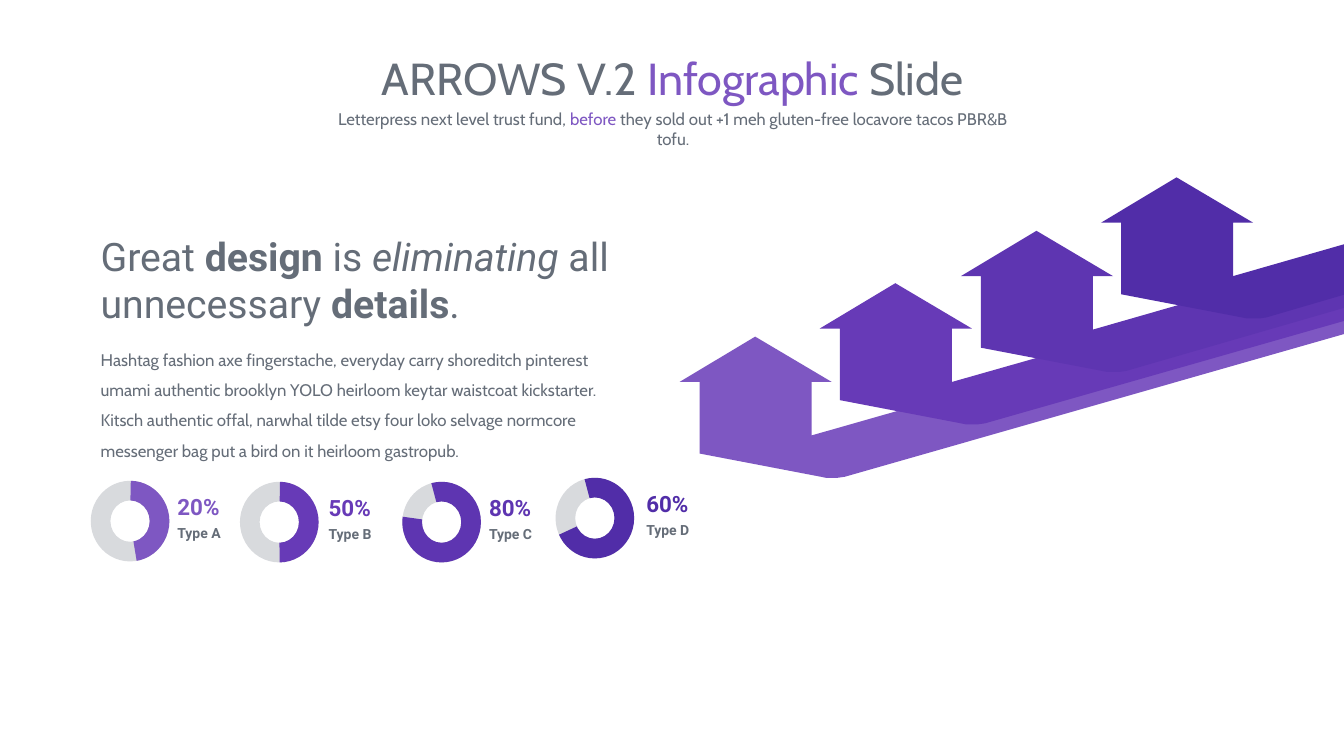
"""Builds the purple arrows infographic slide with four share gauges."""
from dataclasses import dataclass

from pptx import Presentation
from pptx.dml.color import RGBColor
from pptx.enum.shapes import MSO_SHAPE
from pptx.enum.text import MSO_ANCHOR, MSO_AUTO_SIZE, PP_ALIGN
from pptx.shapes.autoshape import Shape
from pptx.shapes.group import GroupShape
from pptx.shapes.shapetree import GroupShapes
from pptx.slide import Slide
from pptx.text.text import TextFrame
from pptx.util import Inches, Pt


@dataclass(frozen=True)
class Theme:
    body_font: str = "Cabin"
    display_font: str = "Roboto"
    slate: str = "656D78"
    track: str = "D8DADD"
    lilac: str = "7E57C2"
    violet: str = "673AB7"
    purple: str = "5E35B1"
    indigo: str = "512DA8"
    title_size: float = 32
    quote_size: float = 28
    share_size: float = 16
    body_size: float = 12
    label_size: float = 10


@dataclass(frozen=True)
class Span:
    text: str
    color: str
    bold: bool = False
    italic: bool = False


@dataclass(frozen=True)
class Arrow:
    apex_x: float
    apex_y: float
    color: str


@dataclass(frozen=True)
class Gauge:
    label: str
    share: str
    color: str
    left: float
    top: float
    label_left: float
    start_angle: float
    end_angle: float


THEME = Theme()
ARROWS = [
    Arrow(7.49, 3.34, THEME.lilac),
    Arrow(8.88, 2.81, THEME.violet),
    Arrow(10.28, 2.29, THEME.purple),
    Arrow(11.67, 1.76, THEME.indigo),
]
GAUGES = [
    Gauge("Type A", "20%", THEME.lilac, 0.9, 4.77, 1.76, 271.06, 80.55),
    Gauge("Type B", "50%", THEME.violet, 2.38, 4.78, 3.26, 271.06, 89.44),
    Gauge("Type C", "80%", THEME.purple, 3.99, 4.78, 4.85, 255.23, 187.88),
    Gauge("Type D", "60%", THEME.indigo, 5.51, 4.74, 6.41, 255.23, 155.07),
]
HEAD_RIGHT = [(0.56, 0.98), (0.56, 0.45), (0.76, 0.45)]
HEAD_LEFT = [(0, 0), (-0.75, 0.45), (-0.55, 0.45), (-0.55, 1.16)]
BEND = [(0.65, 1.39), (0.7, 1.4), (0.75, 1.4), (0.82, 1.4), (0.89, 1.39)]
TAIL_X, TAIL_TOP, TAIL_STEP, TAIL_HEIGHT = 13.38, 2.8, 0.13, 0.5
ANGLE_UNIT = 0.6
RING_WIDTH, RING_HEIGHT, RING_THICKNESS = 0.78, 0.8, 0.25


def write_spans(frame: TextFrame, spans: list[Span], font: str, size: float) -> None:
    """Fill the first paragraph with formatted spans."""
    frame.word_wrap = True
    frame.vertical_anchor = MSO_ANCHOR.TOP
    for span in spans:
        run = frame.paragraphs[0].add_run()
        run.text = span.text
        run.font.name = font
        run.font.size = Pt(size)
        run.font.bold = span.bold
        run.font.italic = span.italic
        run.font.color.rgb = RGBColor.from_string(span.color)


def add_text(shapes: GroupShapes, box: tuple[float, float, float, float],
             spans: list[Span], font: str, size: float) -> TextFrame:
    """Add a wrapping text box and return its frame."""
    frame = shapes.add_textbox(*map(Inches, box)).text_frame
    write_spans(frame, spans, font, size)
    return frame


def paint(shape: Shape, color: str) -> None:
    """Give a shape a flat fill without line or shadow."""
    shape.shadow.inherit = False
    shape.fill.solid()
    shape.fill.fore_color.rgb = RGBColor.from_string(color)
    shape.line.fill.background()


def add_arrow(group: GroupShape, arrow: Arrow, index: int) -> None:
    """Draw one bent arrow whose tail runs to the right edge."""
    def place(points: list[tuple[float, float]]) -> list[tuple[int, int]]:
        return [(Inches(arrow.apex_x + x), Inches(arrow.apex_y + y)) for x, y in points]

    tail_top = TAIL_TOP - index * TAIL_STEP
    tail = [(Inches(TAIL_X), Inches(y)) for y in (tail_top + TAIL_HEIGHT, tail_top)]
    outline = place(HEAD_LEFT + BEND) + tail + place(HEAD_RIGHT)
    builder = group.shapes.build_freeform(*outline[0])
    builder.add_line_segments(outline[1:], close=True)
    paint(builder.convert_to_shape(), arrow.color)


def add_gauge(slide: Slide, gauge: Gauge) -> None:
    """Draw a ring with its coloured arc, share and label."""
    shapes = slide.shapes.add_group_shape().shapes
    box = tuple(map(Inches, (gauge.left, gauge.top, RING_WIDTH, RING_HEIGHT)))
    ring = shapes.add_shape(MSO_SHAPE.DONUT, *box)
    ring.adjustments[0] = RING_THICKNESS
    paint(ring, THEME.track)
    arc = shapes.add_shape(MSO_SHAPE.BLOCK_ARC, *box)
    arc.adjustments[0] = gauge.start_angle * ANGLE_UNIT
    arc.adjustments[1] = gauge.end_angle * ANGLE_UNIT
    arc.adjustments[2] = RING_THICKNESS
    paint(arc, gauge.color)
    captions = [
        (gauge.share, gauge.color, THEME.share_size, 0.15, 0.29),
        (gauge.label, THEME.slate, THEME.label_size, 0.45, 0.23),
    ]
    for text, color, size, offset, height in captions:
        frame = add_text(shapes, (gauge.label_left, gauge.top + offset, 0.49, height),
                         [Span(text, color, bold=True)], THEME.display_font, size)
        frame.margin_left = frame.margin_right = frame.margin_top = frame.margin_bottom = 0
        frame.paragraphs[0].line_spacing = 0.9


def add_heading(slide: Slide) -> None:
    """Place the title and the subtitle."""
    title = slide.shapes.title
    title.left, title.top, title.width, title.height = map(Inches, (2.54, 0.45, 8.26, 0.64))
    write_spans(title.text_frame, [
        Span("ARROWS V.2 ", THEME.slate),
        Span("Infographic ", THEME.lilac),
        Span("Slide", THEME.slate),
    ], THEME.body_font, THEME.title_size)
    subtitle = add_text(slide.shapes, (3.2, 1.03, 6.95, 0.3), [
        Span("Letterpress next level trust fund, ", THEME.slate),
        Span("before", THEME.lilac),
        Span(" they sold out +1 meh gluten-free locavore tacos PBR&B tofu.", THEME.slate),
    ], THEME.body_font, THEME.body_size)
    for frame in (title.text_frame, subtitle):
        frame.auto_size = MSO_AUTO_SIZE.SHAPE_TO_FIT_TEXT
        frame.paragraphs[0].alignment = PP_ALIGN.CENTER


def add_message(slide: Slide) -> None:
    """Place the quote and the paragraph below it."""
    add_text(slide.shapes, (0.9, 2.26, 5.46, 1.04), [
        Span("Great ", THEME.slate),
        Span("design", THEME.slate, bold=True),
        Span(" is ", THEME.slate),
        Span("eliminating", THEME.slate, italic=True),
        Span(" all unnecessary ", THEME.slate),
        Span("details", THEME.slate, bold=True),
        Span(".", THEME.slate),
    ], THEME.display_font, THEME.quote_size)
    story = add_text(slide.shapes, (0.9, 3.32, 5.32, 1.31), [Span(
        "Hashtag fashion axe fingerstache, everyday carry shoreditch pinterest umami "
        "authentic brooklyn YOLO heirloom keytar waistcoat kickstarter. Kitsch authentic "
        "offal, narwhal tilde etsy four loko selvage normcore messenger bag put a bird on "
        "it heirloom gastropub.", THEME.slate)], THEME.body_font, THEME.body_size)
    story.paragraphs[0].line_spacing = 1.5


def main() -> None:
    """Build and save the slide."""
    deck = Presentation()
    deck.slide_width, deck.slide_height = Inches(13.33), Inches(7.5)
    slide = deck.slides.add_slide(deck.slide_layouts[5])
    add_heading(slide)
    arrow_group = slide.shapes.add_group_shape()
    for index, arrow in enumerate(ARROWS):
        add_arrow(arrow_group, arrow, index)
    add_message(slide)
    for gauge in GAUGES:
        add_gauge(slide, gauge)
    deck.save("out.pptx")


if __name__ == "__main__":
    main()
